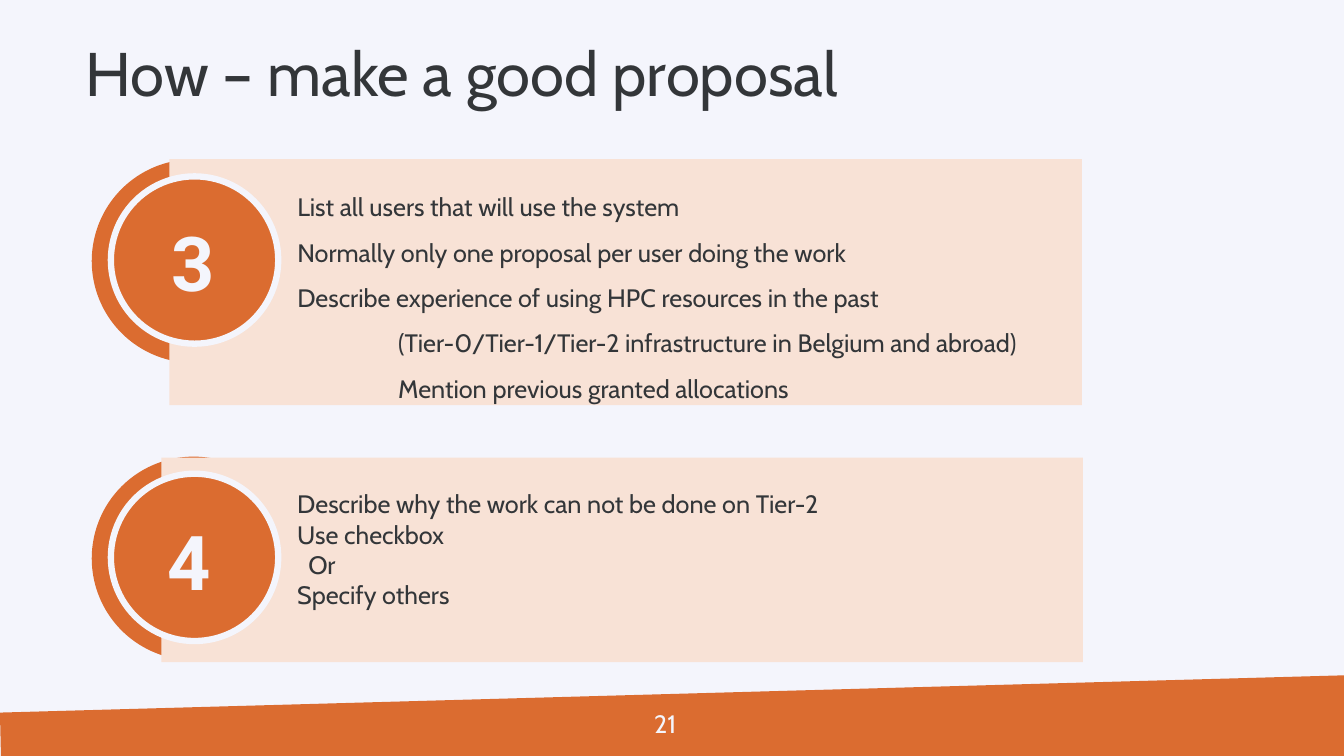
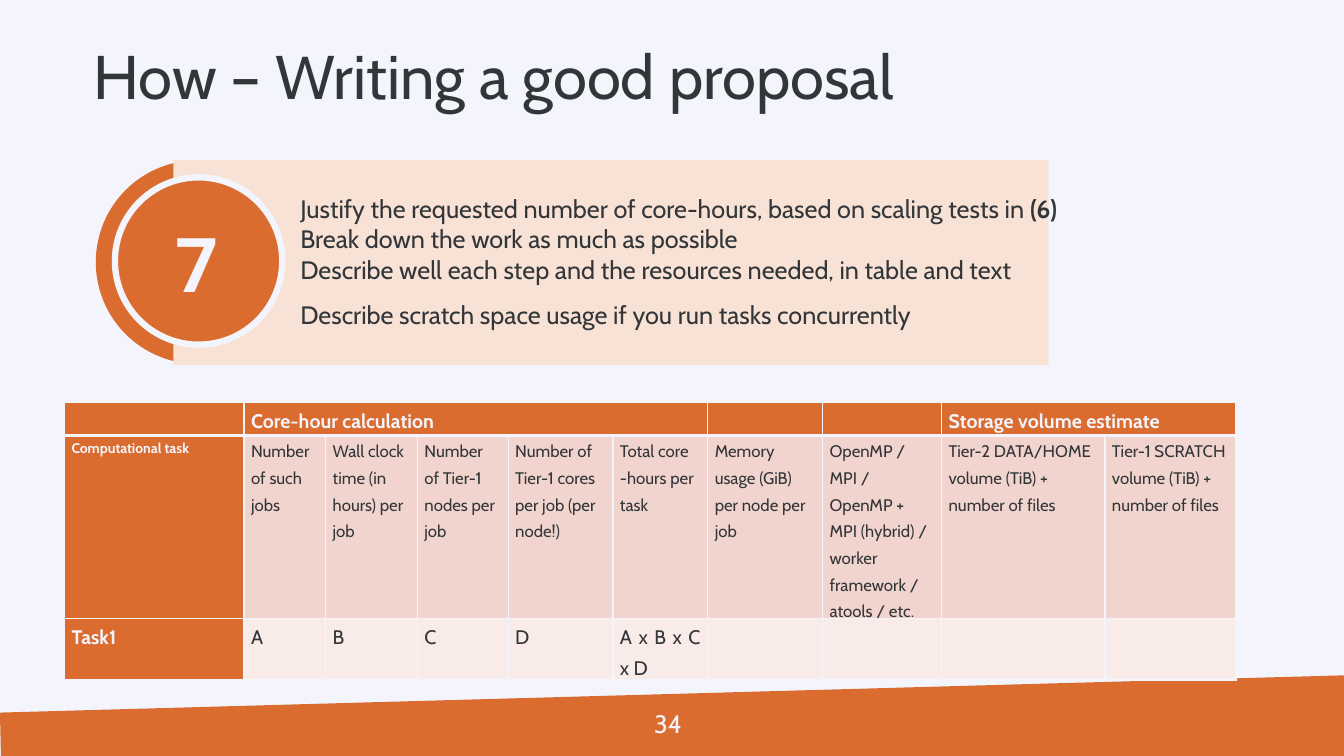
from lxml.etree import SubElement
from pptx import Presentation
from pptx.dml.color import RGBColor
from pptx.enum.shapes import MSO_SHAPE
from pptx.enum.text import MSO_ANCHOR, PP_ALIGN
from pptx.oxml.ns import qn
from pptx.util import Inches, Pt

COLORS = {
    "page": "F4F5FC",
    "accent": "DB6C30",
    "panel": "F8E2D6",
    "text": "333639",
    "label_row": "F1D4CD",
    "value_row": "F8EBE8",
}

STYLES = {
    "title": ({"name": "Cabin", "size": Pt(44)}, "text"),
    "body": ({"name": "Cabin", "size": Pt(18)}, "text"),
    "bold": ({"name": "Cabin", "size": Pt(18), "bold": True}, "text"),
    "number": ({"name": "Roboto", "size": Pt(54), "bold": True}, "page"),
    "page": ({"name": "Cabin", "size": Pt(18)}, "page"),
    "head": ({"name": "Cabin", "size": Pt(14), "bold": True}, "page"),
    "task": ({"name": "Cabin", "size": Pt(10), "bold": True}, "page"),
    "label": ({"name": "Cabin", "size": Pt(12), "bold": False}, "text"),
    "value": ({"name": "Cabin", "size": Pt(14), "bold": False}, "text"),
}

SLIDES = [
    {
        "title": ("How – make a good proposal", 0.75, 0.03),
        "page": "21",
        "panels": [
            {
                "disc": (0.91, 1.58),
                "box": (1.68, 1.58, 9.05, 2.44),
                "number": ("3", 1.6, 2.09),
                "text_at": (2.85, 1.7, 7.88, 2.32),
                "lines": [
                    ("List all users that will use the system", 1.5, 0),
                    ("Normally only one proposal per user doing the work", 1.5, 0),
                    ("Describe experience of using HPC resources in the past", 1.5, 0),
                    ("(Tier-0/Tier-1/Tier-2 infrastructure in Belgium and abroad)", 1.5, 1),
                    ("Mention previous granted allocations", 1.5, 1),
                ],
            },
            {
                "disc": (0.91, 4.53),
                "box": (1.6, 4.54, 9.14, 2.03),
                "number": ("4", 1.56, 5.06),
                "text_at": (2.85, 4.65, 7.4, 1.46),
                "lines": [
                    ("Describe why the work can not be done on Tier-2", 1.5, 0),
                    ("Use checkbox", 1, 0),
                    ("Or", 1, 0.11),
                    ("Specify others", 1, 0),
                ],
            },
        ],
    },
    {
        "title": ("How – Writing a good proposal", 0.83, 0.06),
        "page": "34",
        "panels": [
            {
                "disc": (0.95, 1.59),
                "box": (1.72, 1.59, 8.68, 2.03),
                "number": ("7", 1.64, 2.1),
                "text_at": (2.88, 1.87, 8.75, 1.46),
                "lines": [
                    ("Justify the requested number of core-hours, based on scaling tests in |(6)", 1, 0),
                    ("Break down the work as much as possible", 1, 0),
                    ("Describe well each step and the resources needed, in table and text", 1, 0),
                    ("Describe scratch space usage if you run tasks concurrently", 1.5, 0),
                ],
            },
        ],
        "table": {
            "at": (0.64, 3.99),
            "cols": [1.78, 0.81, 0.91, 0.9, 1.04, 0.94, 1.14, 1.18, 1.62, 1.3],
            "heights": [0.33, 1.67, 0.6],
            "spans": [(1, 5), (8, 9)],
            "rows": [
                ["", "Core-hour calculation", "", "", "", "", "", "",
                 "Storage volume estimate", ""],
                ["Computational task", "Number of such jobs",
                 "Wall clock time (in hours) per job",
                 "Number of Tier-1 nodes per job",
                 "Number of Tier-1 cores per job (per node!)",
                 "Total core -hours per task",
                 "Memory usage (GiB) per node per job",
                 "OpenMP / MPI / OpenMP + MPI (hybrid) / worker framework / atools / etc.",
                 "Tier-2 DATA/HOME volume (TiB) + number of files",
                 "Tier-1 SCRATCH volume (TiB) + number of files"],
                ["Task1", "A", "B", "C", "D", "A x B x C x D", "", "", "", ""],
            ],
        },
    },
]

ROW_LOOKS = [
    ("head", "head", "accent", 1, 3),
    ("task", "label", "label_row", 3, 1),
    ("head", "value", "value_row", 1, 1),
]


def inches(values):
    return [Inches(v) for v in values]


def rgb(name):
    return RGBColor.from_string(COLORS[name])


def paint(sp, fill, line=None):
    sp.shadow.inherit = False
    sp.fill.solid()
    sp.fill.fore_color.rgb = rgb(fill)
    if line:
        sp.line.color.rgb = rgb(line)
        sp.line.width = Pt(4.5)
    else:
        sp.line.fill.background()


def add_run(p, text, style):
    values, color = STYLES[style]
    r = p.add_run()
    r.text = text
    for key, value in values.items():
        setattr(r.font, key, value)
    r.font.color.rgb = rgb(color)


def add_text(s, at, lines, style, wrap=True, anchor=MSO_ANCHOR.TOP):
    tf = s.shapes.add_textbox(*inches(at)).text_frame
    tf.word_wrap = wrap
    tf.vertical_anchor = anchor
    for i, (text, spacing, indent) in enumerate(lines):
        p = tf.paragraphs[0] if i == 0 else tf.add_paragraph()
        if spacing != 1:
            p.line_spacing = spacing
        if indent:
            p._p.get_or_add_pPr().set("marL", str(Inches(indent)))
        for part, part_style in zip(text.split("|"), (style, "bold")):
            add_run(p, part, part_style)


def add_frame(s, title, page):
    band = s.shapes.build_freeform(0, Inches(7.07))
    corners = [(13.33, 6.7), (13.33, 7.5), (0.01, 7.5)]
    band.add_line_segments([inches(c) for c in corners], close=True)
    paint(band.convert_to_shape(), "accent")
    text, left, top = title
    add_text(s, (left, top, 11.5, 1.45), [(text, 0.9, 0)], "title",
             anchor=MSO_ANCHOR.MIDDLE)
    add_text(s, (6.39, 6.98, 0.55, 0.4), [(page, 1, 0)], "page")


def add_panel(s, panel):
    left, top = panel["disc"]
    parts = [
        (MSO_SHAPE.OVAL, (left, top, 2.02, 2.02), "accent", None),
        (MSO_SHAPE.RECTANGLE, panel["box"], "panel", None),
        (MSO_SHAPE.OVAL, (left + 0.19, top + 0.17, 1.66, 1.66), "accent", "page"),
    ]
    for kind, at, fill, line in parts:
        paint(s.shapes.add_shape(kind, *inches(at)), fill, line)
    add_text(s, panel["text_at"], panel["lines"], "body")
    number, left, top = panel["number"]
    add_text(s, (left, top, 0.64, 1.01), [(number, 1, 0)], "number", wrap=False)


def add_borders(cell, top, bottom):
    tcPr = cell._tc.get_or_add_tcPr()
    for side, width in (("L", 1), ("R", 1), ("T", top), ("B", bottom)):
        ln = SubElement(tcPr, qn("a:ln" + side), w=str(Pt(width)))
        fill = SubElement(ln, qn("a:solidFill"))
        SubElement(fill, qn("a:srgbClr"), val=COLORS["page"])


def fill_cell(cell, text, style, fill, top, bottom):
    add_borders(cell, top, bottom)
    cell.fill.solid()
    cell.fill.fore_color.rgb = rgb(fill)
    cell.margin_left = cell.margin_right = Inches(0.07)
    cell.margin_top = cell.margin_bottom = 0
    p = cell.text_frame.paragraphs[0]
    if not text:
        p._p.get_or_add_endParaRPr().set("sz", "1200")
        return
    p.line_spacing = 1.3
    if style != "label":
        p.alignment = PP_ALIGN.JUSTIFY
    if style in ("head", "value"):
        p.space_after = Pt(8)
    add_run(p, text, style)


def add_tasks(s, data):
    cols, heights = data["cols"], data["heights"]
    size = (sum(cols), sum(heights))
    table = s.shapes.add_table(len(heights), len(cols),
                               *inches(data["at"] + size)).table
    table.first_row = table.horz_banding = False
    for col, width in zip(table.columns, cols):
        col.width = Inches(width)
    for row, height in zip(table.rows, heights):
        row.height = Inches(height)
    for i, (texts, look) in enumerate(zip(data["rows"], ROW_LOOKS)):
        first, other, fill, top, bottom = look
        for j, text in enumerate(texts):
            style, color = (other, fill) if j else (first, "accent")
            fill_cell(table.cell(i, j), text, style, color, top, bottom)
    for start, end in data["spans"]:
        table.cell(0, start).merge(table.cell(0, end))


def main():
    prs = Presentation()
    prs.slide_width, prs.slide_height = Inches(13.33), Inches(7.5)
    background = prs.slide_master.background.fill
    background.solid()
    background.fore_color.rgb = rgb("page")
    for content in SLIDES:
        s = prs.slides.add_slide(prs.slide_layouts[6])
        add_frame(s, content["title"], content["page"])
        if "table" in content:
            add_tasks(s, content["table"])
        for panel in content["panels"]:
            add_panel(s, panel)
    prs.save("out.pptx")


if __name__ == "__main__":
    main()
